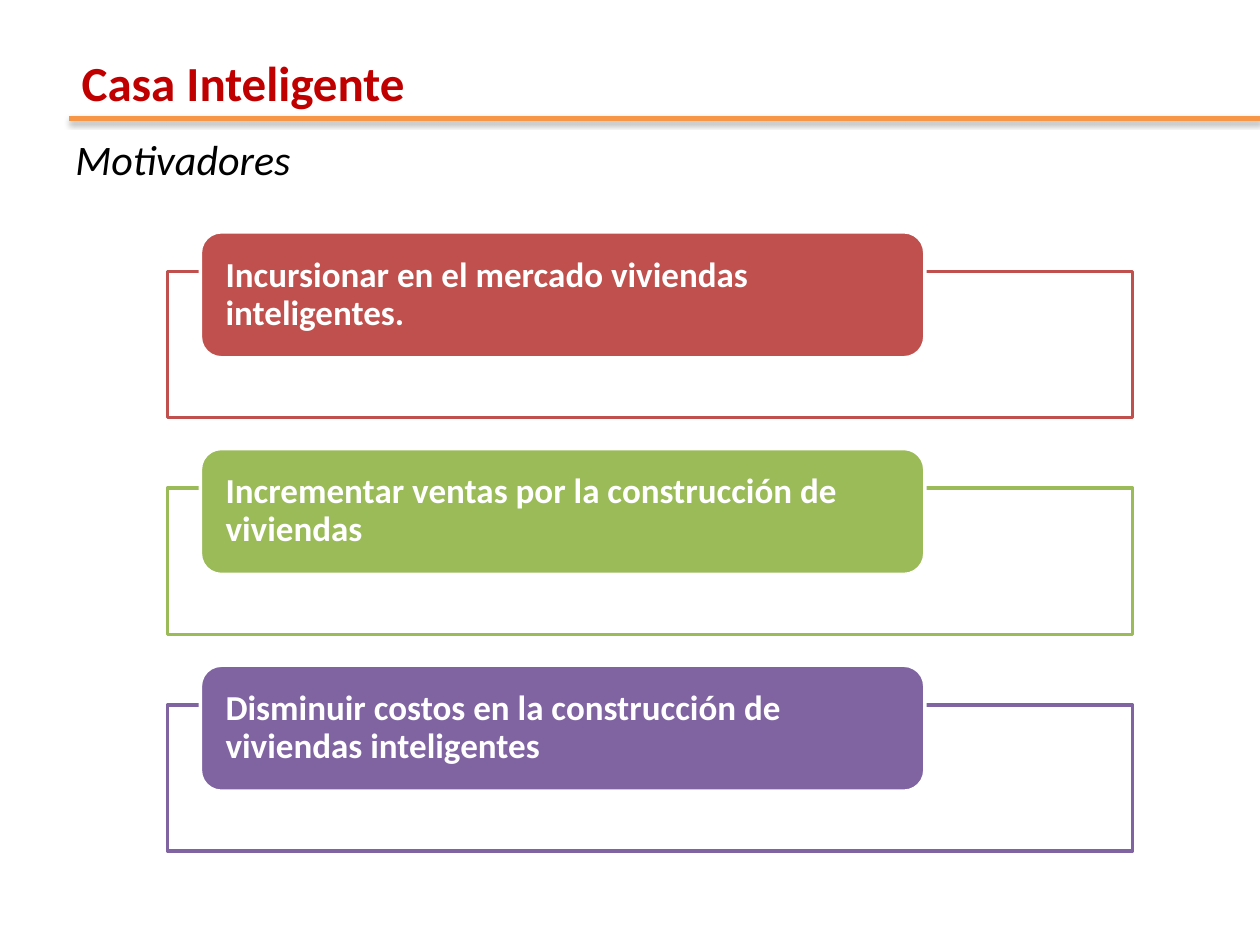
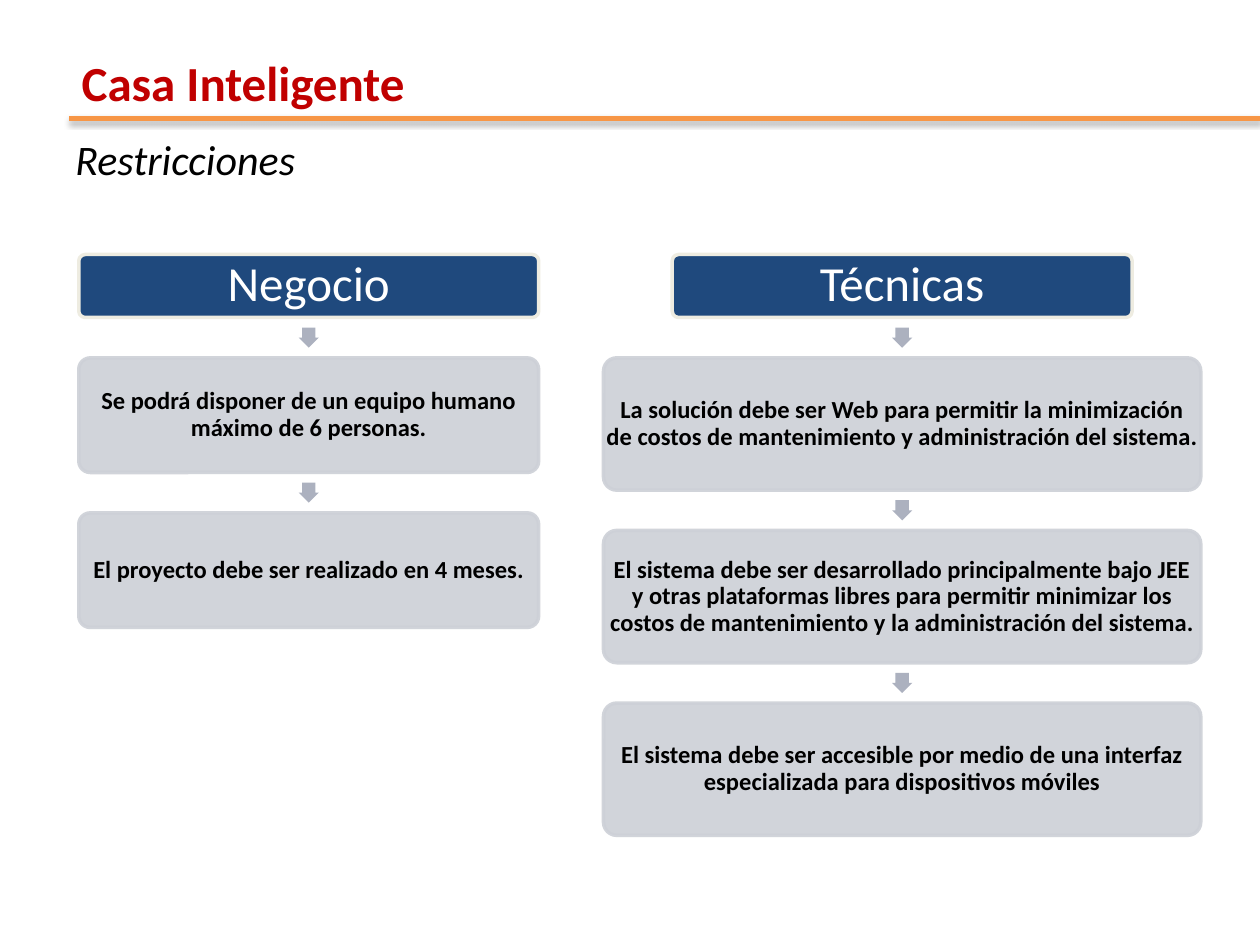
from dataclasses import dataclass

from lxml.etree import SubElement
from pptx import Presentation
from pptx.dml.color import RGBColor
from pptx.enum.shapes import MSO_CONNECTOR, MSO_SHAPE
from pptx.enum.text import MSO_ANCHOR, PP_ALIGN
from pptx.oxml import parse_xml
from pptx.oxml.ns import nsdecls, qn
from pptx.util import Inches, Pt


@dataclass(frozen=True)
class Theme:
    font: str = "Calibri"
    title: str = "C00000"
    rule: str = "F79646"
    ink: str = "000000"
    paper: str = "FFFFFF"
    head: str = "1F497D"
    head_edge: str = "EEECE1"
    box: str = "CDD0D7"
    arrow: str = "ACB1BF"
    drivers: tuple = ("C0504D", "9BBB59", "8064A2")
    big: int = 28
    subtitle: int = 24
    driver: int = 20
    body: int = 14


T = Theme()
COLS, ROWS = 100, 75  # grid of square cells over a 10 x 7.5 inch slide
CELL = Inches(10) / COLS

DRIVERS = [
    "Incursionar en el mercado viviendas inteligentes.",
    "Incrementar ventas por la construcción de viviendas",
    "Disminuir costos en la construcción de viviendas inteligentes",
]
BUSINESS = [
    "Se podrá disponer de un equipo humano máximo de 6 personas.",
    "El proyecto debe ser realizado en 4 meses.",
]
TECHNICAL = [
    "La solución debe ser Web para permitir la minimización de costos de "
    "mantenimiento y administración del sistema.",
    "El sistema debe ser desarrollado principalmente bajo JEE y otras "
    "plataformas libres para permitir minimizar los costos de mantenimiento "
    "y la administración del sistema.",
    "El sistema debe ser accesible por medio de una interfaz especializada "
    "para dispositivos móviles",
]


def grid(*cells):
    return [round(c * CELL) for c in cells]


def shadow_xml(blur, dist, alpha):
    return parse_xml(
        f'<a:effectLst {nsdecls("a")}><a:outerShdw blurRad="{Pt(blur)}" '
        f'dist="{Pt(dist)}" dir="5400000" rotWithShape="0">'
        f'<a:srgbClr val="000000"><a:alpha val="{alpha * 1000}"/></a:srgbClr>'
        '</a:outerShdw></a:effectLst>')


def paint(fmt, color, opacity=100):
    """Give a fill a solid colour, see-through below 100 % opacity."""
    fmt.solid()
    fmt.fore_color.rgb = RGBColor.from_string(color)
    if opacity < 100:
        clr = fmt._xPr.find(qn("a:solidFill"))[0]
        SubElement(clr, qn("a:alpha")).set("val", str(opacity * 1000))


def add_text(shapes, text, at, size, color=T.ink, bold=False, italic=False,
             align=PP_ALIGN.LEFT, anchor=MSO_ANCHOR.MIDDLE, inset=(1, 0.5),
             spacing=None, shadow=False):
    tf = shapes.add_textbox(*grid(*at)).text_frame
    tf.word_wrap = True
    tf.vertical_anchor = anchor
    tf.margin_left, tf.margin_top = grid(*inset)
    tf.margin_right, tf.margin_bottom = grid(*inset)
    p = tf.paragraphs[0]
    p.alignment = align
    if spacing:
        p.line_spacing = spacing
    r = p.add_run()
    r.text = text
    f = r.font
    f.name, f.size, f.bold, f.italic = T.font, Pt(size), bold, italic
    paint(f.fill, color)
    if shadow:
        r._r.rPr.find(qn("a:solidFill")).addnext(shadow_xml(3, 3, 40))


def add_box(shapes, kind, at, fill, edge=None, opacity=100, edge_opacity=100,
            adjust=()):
    sp = shapes.add_shape(kind, *grid(*at))
    sp.shadow.inherit = False
    paint(sp.fill, fill, opacity)
    if edge:
        paint(sp.line.fill, edge, edge_opacity)
        sp.line.width = Pt(2)
    else:
        sp.line.fill.background()
    for i, value in enumerate(adjust):
        sp.adjustments[i] = value
    return sp


def add_frame(prs, subtitle):
    """Blank slide with the shared rule, subtitle and title."""
    s = prs.slides.add_slide(prs.slide_layouts[6])
    rule = s.shapes.add_connector(
        MSO_CONNECTOR.STRAIGHT, *grid(5.5, 9.4, COLS, 9.4))
    paint(rule.line.fill, T.rule)
    rule.line.width = Pt(3)
    rule._element.spPr.append(shadow_xml(3.1, 1.8, 35))
    add_text(s.shapes, subtitle, (5, 10.2, 52.8, 4.8), T.subtitle, italic=True)
    add_text(s.shapes, "Casa Inteligente", (5.5, 3.7, 44.5, 5.7), T.big,
             color=T.title, bold=True, anchor=MSO_ANCHOR.TOP, shadow=True)
    return s


def add_driver(s, text, color, top):
    """Outlined panel with a coloured label over its upper edge."""
    shapes = s.shapes.add_group_shape().shapes
    label = (15.9, top, 57.5, 10)
    add_box(shapes, MSO_SHAPE.RECTANGLE, (13.3, top + 3.15, 76.6, 11.6),
            T.paper, edge=color, opacity=90)
    add_box(shapes, MSO_SHAPE.ROUNDED_RECTANGLE, label, color, edge=T.paper)
    add_text(shapes, text, label, T.driver, color=T.paper, bold=True,
             inset=(2, 0), spacing=0.9)


def add_chain(s, heading, items, center, width, height):
    """Heading followed by boxes, with an arrow in every gap."""
    shapes = s.shapes.add_group_shape().shapes
    gap, arrow = 3.2, 1.6
    at = (center - 18.25, 20.2, 36.5, 5)
    add_box(shapes, MSO_SHAPE.ROUNDED_RECTANGLE, at, T.head, edge=T.head_edge,
            adjust=[0.1])
    add_text(shapes, heading, at, T.big, color=T.paper, inset=(0.4, 0.4),
             align=PP_ALIGN.CENTER, spacing=0.9)
    bottom = at[1] + at[3]
    for text in items:
        sp = add_box(shapes, MSO_SHAPE.RIGHT_ARROW,
                     (center - arrow / 2, bottom + (gap - arrow) / 2,
                      arrow, arrow), T.arrow, adjust=[0.667, 0.5])
        sp.rotation = 90
        at = (center - width / 2, bottom + gap, width, height)
        add_box(shapes, MSO_SHAPE.ROUNDED_RECTANGLE, at, T.box, edge=T.box,
                opacity=90, edge_opacity=90, adjust=[0.1])
        add_text(shapes, text, at, T.body, bold=True, inset=(0.2, 0.2),
                 align=PP_ALIGN.CENTER, spacing=0.9)
        bottom += gap + height


def main():
    prs = Presentation()
    prs.slide_width, prs.slide_height = grid(COLS, ROWS)

    # Drivers
    s = add_frame(prs, "Motivadores")
    for i, (text, color) in enumerate(zip(DRIVERS, T.drivers)):
        add_driver(s, text, color, 18.4 + 17.2 * i)

    # Constraints
    s = add_frame(prs, "Restricciones")
    add_chain(s, "Negocio", BUSINESS, center=24.5, width=36.5, height=9.1)
    add_chain(s, "Técnicas", TECHNICAL, center=71.6, width=47.4, height=10.5)

    prs.save("out.pptx")


main()
